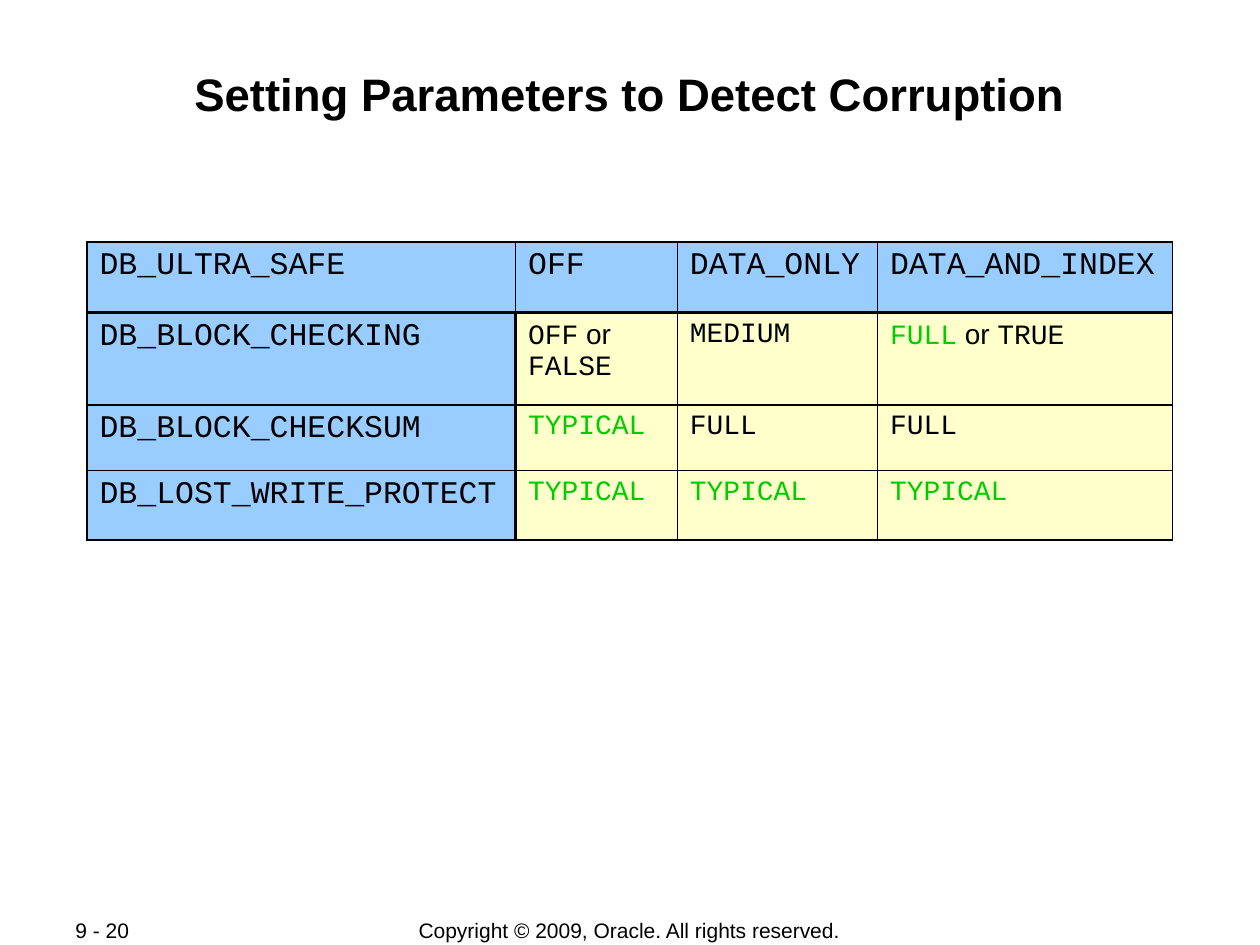
from lxml import etree
from pptx import Presentation
from pptx.dml.color import RGBColor
from pptx.enum.text import MSO_ANCHOR, PP_ALIGN
from pptx.oxml.ns import qn
from pptx.util import Pt

LEFT, CENTER = PP_ALIGN.LEFT, PP_ALIGN.CENTER
TOP, MIDDLE = MSO_ANCHOR.TOP, MSO_ANCHOR.MIDDLE

BLACK = RGBColor(0x00, 0x00, 0x00)
GREEN = RGBColor(0x00, 0xCC, 0x00)
BLUE = RGBColor(0x99, 0xCC, 0xFF)
CREAM = RGBColor(0xFF, 0xFF, 0xCC)

SANS, MONO = "Arial", "Courier New"
THIN, THICK = 1.08, 2.21

COLUMN_WIDTHS = (244.9, 92.5, 114.4, 168.6)
ROW_HEIGHTS = (40.4, 52.8, 37.6, 39.6)


def code(text, color=BLACK):
    return text, MONO, color


OR = (" or ", SANS, BLACK)
TYPICAL = [code("TYPICAL", GREEN)]
FULL = [code("FULL")]

PARAMETERS = [
    [[code("DB_ULTRA_SAFE")], [code("OFF")], [code("DATA_ONLY")],
     [code("DATA_AND_INDEX")]],
    [[code("DB_BLOCK_CHECKING")], [code("OFF"), OR, code("FALSE")],
     [code("MEDIUM")], [code("FULL", GREEN), OR, code("TRUE")]],
    [[code("DB_BLOCK_CHECKSUM")], TYPICAL, FULL, FULL],
    [[code("DB_LOST_WRITE_PROTECT")], TYPICAL, TYPICAL, TYPICAL],
]


class SlideBuilder:
    def __init__(self, slide):
        self.slide = slide

    def add_run(self, paragraph, text, size, font=SANS, color=BLACK, bold=False):
        run = paragraph.add_run()
        run.text = text
        run.font.size = Pt(size)
        run.font.name = font
        run.font.color.rgb = color
        run.font.bold = bold

    def text(self, text, left, top, width, height, size, align=LEFT,
             anchor=MIDDLE, bold=False, inset=(7.2, 0)):
        box = self.slide.shapes.add_textbox(Pt(left), Pt(top), Pt(width), Pt(height))
        frame = box.text_frame
        frame.word_wrap = True
        frame.vertical_anchor = anchor
        frame.margin_left = frame.margin_right = Pt(inset[0])
        frame.margin_top = frame.margin_bottom = Pt(inset[1])
        paragraph = frame.paragraphs[0]
        paragraph.alignment = align
        self.add_run(paragraph, text, size, bold=bold)

    def border(self, cell, widths):
        """Draw the left, right, top and bottom lines of a cell."""
        properties = cell._tc.get_or_add_tcPr()
        for position, (side, width) in enumerate(zip("LRTB", widths)):
            line = etree.Element(qn(f"a:ln{side}"), w=str(Pt(width)))
            fill = etree.SubElement(line, qn("a:solidFill"))
            etree.SubElement(fill, qn("a:srgbClr"), val=str(BLACK))
            properties.insert(position, line)

    def table(self, rows, left, top, widths, heights):
        """Build a table whose first row and column are headers."""
        table = self.slide.shapes.add_table(
            len(rows), len(widths), Pt(left), Pt(top),
            Pt(sum(widths)), Pt(sum(heights))).table
        table.first_row = table.horz_banding = False
        for column, width in zip(table.columns, widths):
            column.width = Pt(width)
        for r, (contents, height) in enumerate(zip(rows, heights)):
            table.rows[r].height = Pt(height)
            for c, runs in enumerate(contents):
                cell = table.cell(r, c)
                header = r == 0 or c == 0
                cell.fill.solid()
                cell.fill.fore_color.rgb = BLUE if header else CREAM
                self.border(cell, (
                    THICK if r and c == 1 else THIN,
                    THICK if r and c == 0 else THIN,
                    THICK if r == 1 else THIN,
                    THICK if r == 0 else THIN))
                paragraph = cell.text_frame.paragraphs[0]
                for text, font, color in runs:
                    self.add_run(paragraph, text, 18 if header else 16, font, color)


def main():
    deck = Presentation()
    deck.slide_width, deck.slide_height = Pt(720), Pt(540)
    builder = SlideBuilder(deck.slides.add_slide(deck.slide_layouts[6]))

    builder.text("Copyright © 2009, Oracle. All rights reserved.",
                 198, 524.2, 323.3, 15.1, 12, CENTER)
    builder.text("9 - 20", 36, 524.2, 76.3, 15.1, 12)
    builder.text("Setting Parameters to Detect Corruption",
                 48.2, 34.6, 623.5, 69.1, 26, CENTER, TOP, True, (0.7, 3))
    builder.table(PARAMETERS, 49.7, 138.2, COLUMN_WIDTHS, ROW_HEIGHTS)

    deck.save("out.pptx")


if __name__ == "__main__":
    main()
